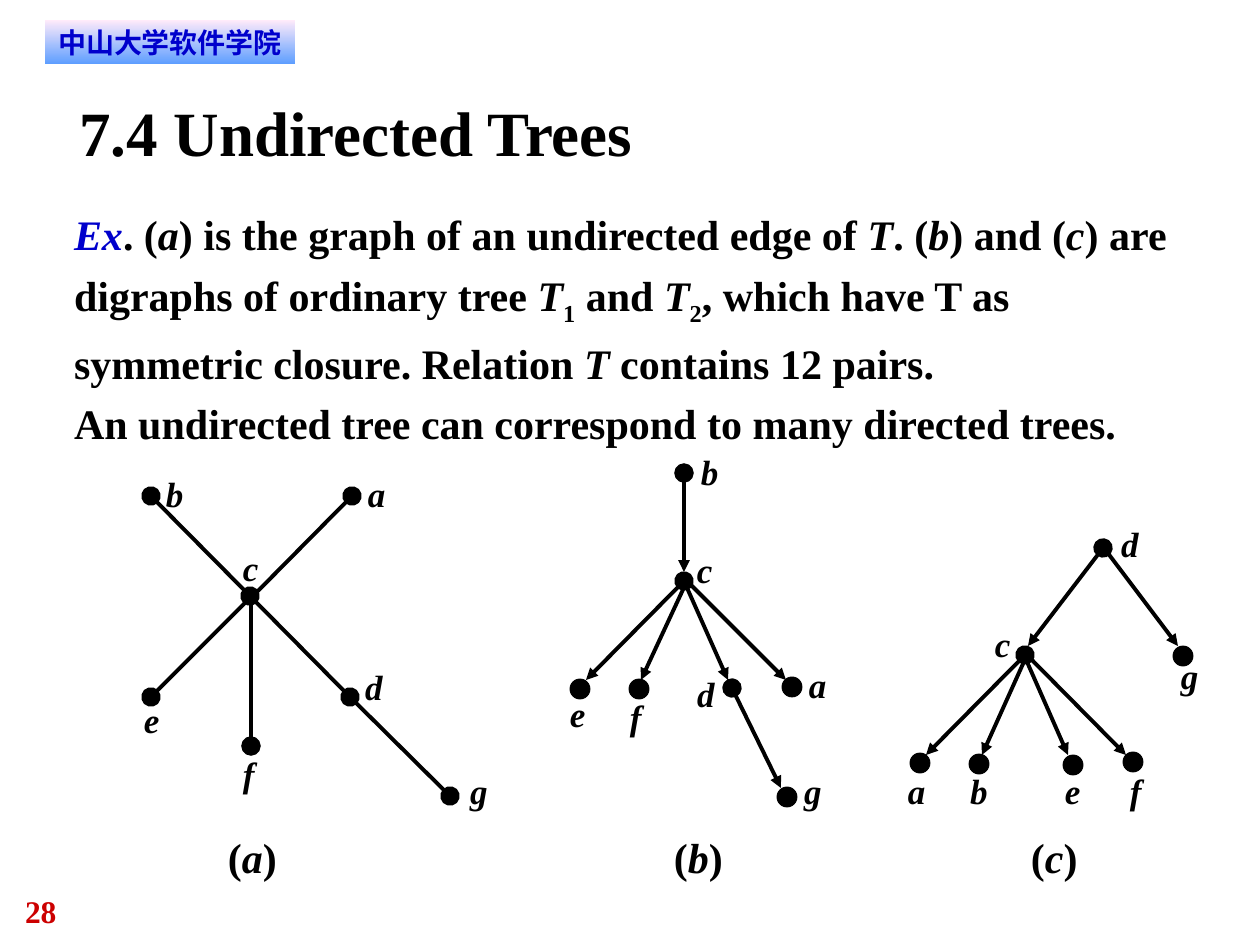
"""Build the slide on undirected trees, with three tree diagrams."""
from lxml.etree import SubElement
from pptx import Presentation
from pptx.dml.color import RGBColor
from pptx.enum.shapes import MSO_CONNECTOR as Line, MSO_SHAPE as Shape
from pptx.enum.text import MSO_ANCHOR as Anchor, PP_ALIGN as Align
from pptx.oxml.ns import qn
from pptx.util import Pt

PX = 914400 / 126
SERIF = "Times New Roman"
paint = RGBColor.from_string


def scale(*lengths):
    return [round(length * PX) for length in lengths]


def write(box, lines, size, color="000000", font=SERIF, wrap=True, spacing=None, insets=(0, 0)):
    """Fill a box with lines in which * toggles italics and _ toggles subscript."""
    frame = box.text_frame
    frame.word_wrap = wrap
    frame.margin_left, frame.margin_top = frame.margin_right, frame.margin_bottom = scale(*insets)
    for index, line in enumerate(lines):
        para = frame.paragraphs[0] if index == 0 else frame.add_paragraph()
        para.line_spacing = spacing
        para.font.size, para.font.name, para.font.bold = Pt(size), font, True
        para.font.color.rgb = paint(color)
        for italic, part in enumerate(line.split("*")):
            for lowered, text in enumerate(part.split("_")):
                if text:
                    span = para.add_run()
                    span.text = text
                    if italic % 2:
                        span.font.italic = True
                    if lowered % 2:
                        span.font._element.set("baseline", "-25000")


deck = Presentation()
deck.slide_width, deck.slide_height = scale(1260, 945)
page = deck.slides.add_slide(deck.slide_layouts[6])

number = page.shapes.add_textbox(*scale(25, 892, 95, 38))
write(number, ["28"], 18, "CC0000")

banner = page.shapes.add_shape(Shape.RECTANGLE, *scale(45, 20, 250, 44))
banner.shadow.inherit = False
banner.fill.gradient()
banner.fill.gradient_angle = 270
for stop, color in zip(banner.fill.gradient_stops, ["FFEBFA", "5E9EFF"]):
    stop.color.rgb = paint(color)
banner.line.fill.background()
write(banner, ["中山大学软件学院"], 16, "0000CC", "DejaVu Sans", insets=(10, 5))
banner.text_frame.vertical_anchor = Anchor.MIDDLE
banner.text_frame.paragraphs[0].alignment = Align.CENTER

title = page.shapes.add_textbox(*scale(79, 94, 1103, 76))
write(title, ["7.4 Undirected Trees"], 36)

body = page.shapes.add_textbox(*scale(74, 198, 1128, 251))
write(body, [
    "*Ex*. (*a*) is the graph of an undirected edge of *T*. (*b*) and (*c*) are digraphs of ordinary "
    "tree *T*_1_ and *T*_2_, which have T as symmetric closure. Relation *T* contains 12 pairs.",
    "An undirected tree can correspond to many directed trees.",
], 24, spacing=1.2)
body.text_frame.paragraphs[0].runs[0].font.color.rgb = paint("0000CC")

trees = [
    {
        "edges": [
            (251, 597, 350, 697, None, None), (251, 597, 251, 746, None, "oval"),
            (251, 597, 151, 697, None, "oval"), (151, 496, 250, 596, "oval", "oval"),
            (352, 496, 253, 596, "oval", None), (350, 697, 450, 796, "oval", "oval"),
        ],
        "dots": [],
        "labels": {"a": (368, 472), "b": (166, 472), "c": (243, 546), "d": (365, 665),
                   "e": (144, 698), "f": (243, 752), "g": (470, 769)},
        "caption": ("a", 228),
    },
    {
        "edges": [
            (684, 581, 728, 680, None, "triangle"), (684, 473, 684, 572, "oval", "triangle"),
            (687, 581, 641, 680, None, "triangle"), (687, 581, 786, 680, None, "triangle"),
            (684, 581, 586, 680, "oval", "triangle"), (732, 688, 781, 788, "oval", "triangle"),
        ],
        "dots": [(570, 679), (629, 679), (782, 677), (777, 787)],
        "labels": {"a": (809, 663), "b": (701, 450), "c": (697, 548), "d": (697, 672),
                   "e": (570, 692), "f": (630, 696), "g": (804, 769)},
        "caption": ("b", 674),
    },
    {
        "edges": [
            (1024, 655, 1068, 755, None, "triangle"), (1103, 548, 1028, 646, "oval", "triangle"),
            (1027, 655, 982, 755, None, "triangle"), (1027, 655, 1126, 755, None, "triangle"),
            (1025, 655, 926, 755, "oval", "triangle"), (1104, 548, 1178, 646, None, "triangle"),
        ],
        "dots": [(910, 753), (969, 754), (1123, 752), (1063, 755), (1173, 646)],
        "labels": {"a": (908, 769), "b": (970, 769), "c": (995, 622), "d": (1121, 522),
                   "e": (1065, 769), "f": (1130, 769), "g": (1181, 654)},
        "caption": ("c", 1031),
    },
]
narrow = {"c": 15, "e": 15, "f": 11}

for tree in trees:
    group = page.shapes.add_group_shape()
    for *ends, head, tail in tree["edges"]:
        edge = group.shapes.add_connector(Line.STRAIGHT, *scale(*ends))
        edge.line.width = Pt(2.25)
        edge.line.color.rgb = paint("000000")
        for tag, kind in (("a:headEnd", head), ("a:tailEnd", tail)):
            if kind:
                extent = "lg" if kind == "oval" else "med"
                SubElement(edge.line._get_or_add_ln(), qn(tag), type=kind, w=extent, len=extent)
        SubElement(edge._element.spPr, qn("a:effectLst"))
    for left, top in tree["dots"]:
        dot = group.shapes.add_shape(Shape.OVAL, *scale(left, top, 20, 20))
        dot.shadow.inherit = False
        dot.fill.solid()
        dot.fill.fore_color.rgb = dot.line.color.rgb = paint("000000")
        dot.line.width = Pt(0.5)
    for letter, (left, top) in tree["labels"].items():
        label = group.shapes.add_textbox(*scale(left, top, narrow.get(letter, 18), 42))
        write(label, [f"*{letter}*"], 20, wrap=False)
    letter, left = tree["caption"]
    caption = page.shapes.add_textbox(*scale(left, 832, 49, 50))
    write(caption, [f"(*{letter}*)"], 24, wrap=False)

deck.save("out.pptx")
